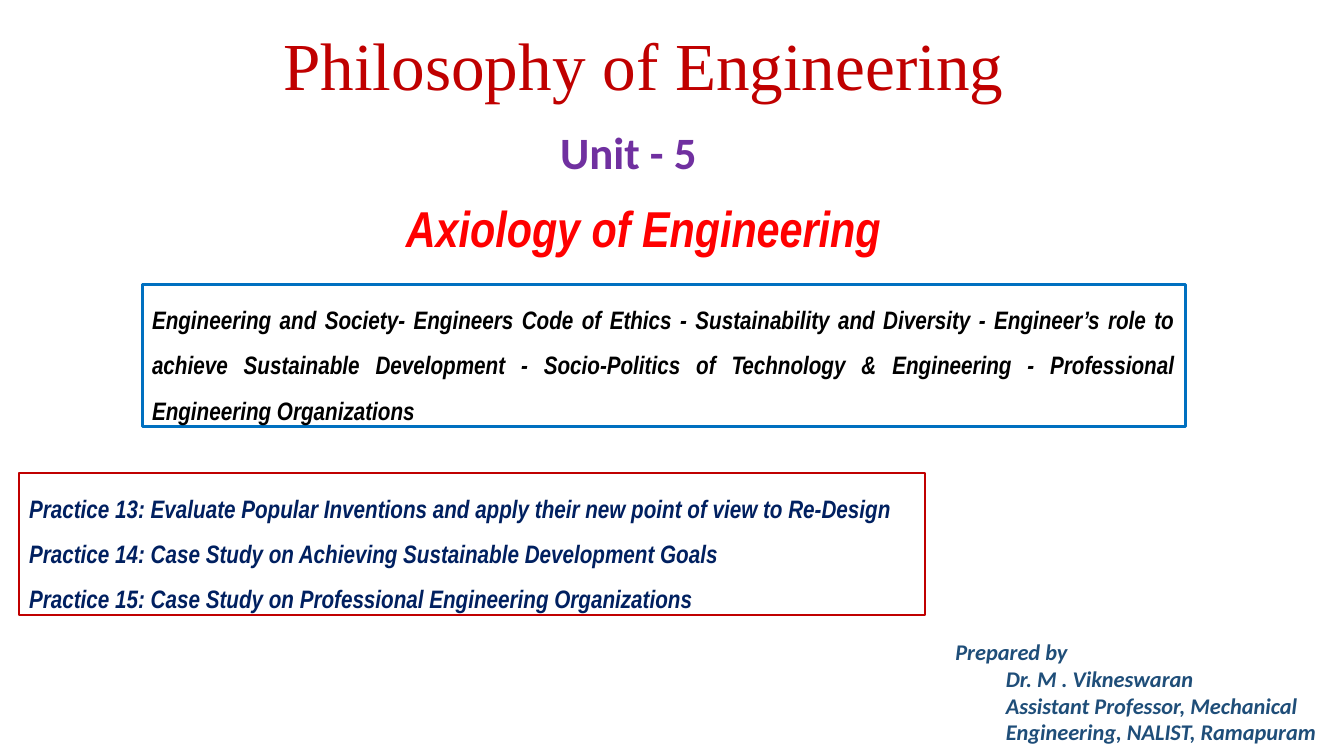
from pptx import Presentation
from pptx.dml.color import RGBColor
from pptx.enum.shapes import MSO_SHAPE
from pptx.enum.text import MSO_ANCHOR, MSO_AUTO_SIZE, PP_ALIGN
from pptx.util import Inches, Pt


def color(hex_code):
    return RGBColor.from_string(hex_code)


def write(box, lines, font, size, hex_code, align, bold=True, italic=True, spacing=1.0):
    """Fill a box with one paragraph per line, all in the same style."""
    frame = box.text_frame
    frame.word_wrap = True
    frame.auto_size = MSO_AUTO_SIZE.NONE
    frame.vertical_anchor = MSO_ANCHOR.TOP
    frame.text = "\n".join(lines)
    for para in frame.paragraphs:
        para.alignment = align
        para.line_spacing = spacing
        for span in para.runs:
            span.font.name = font
            span.font.size = Pt(size)
            span.font.bold = bold
            span.font.italic = italic
            span.font.color.rgb = color(hex_code)


deck = Presentation()
deck.slide_width = Inches(40 / 3)
deck.slide_height = Inches(7.5)
slide = deck.slides.add_slide(deck.slide_layouts[5])
shapes = slide.shapes

# Headings
title = shapes.title
title.left, title.top = Inches(1.88), Inches(0.18)
title.width, title.height = Inches(9.01), Inches(0.91)
write(title, ["Philosophy of Engineering"], "Times New Roman", 48, "C00000",
      PP_ALIGN.CENTER, bold=False, italic=False)

unit = shapes.add_textbox(Inches(3.6), Inches(1.19), Inches(5.27), Inches(0.64))
write(unit, ["Unit - 5"], "Calibri", 32, "7030A0", PP_ALIGN.CENTER, italic=False)

topic = shapes.add_textbox(Inches(3.05), Inches(1.91), Inches(6.67), Inches(0.71))
write(topic, ["Axiology of Engineering"], "Arial Narrow", 36, "FF0000", PP_ALIGN.CENTER)

# Framed syllabus and practice list
syllabus = [
    "Engineering and Society- Engineers Code of Ethics - Sustainability and Diversity - "
    "Engineer’s role to achieve Sustainable Development - Socio-Politics of Technology & "
    "Engineering - Professional Engineering Organizations",
]
practices = [
    "Practice 13: Evaluate Popular Inventions and apply their new point of view to Re-Design",
    "Practice 14: Case Study on Achieving Sustainable Development Goals",
    "Practice 15: Case Study on Professional Engineering Organizations",
]
panels = [
    (1.41, 2.82, 10.35, None, "0070C0", 2.25, syllabus, "000000", PP_ALIGN.JUSTIFY),
    (0.19, 4.69, 8.99, "FFFFFF", "C00000", 1.5, practices, "002060", PP_ALIGN.LEFT),
]
for left, top, width, fill, line_color, line_width, lines, text_color, align in panels:
    panel = shapes.add_shape(MSO_SHAPE.RECTANGLE, Inches(left), Inches(top),
                             Inches(width), Inches(1.41))
    panel.shadow.inherit = False
    if fill:
        panel.fill.solid()
        panel.fill.fore_color.rgb = color(fill)
    else:
        panel.fill.background()
    panel.line.color.rgb = color(line_color)
    panel.line.width = Pt(line_width)
    write(panel, lines, "Arial Narrow", 18, text_color, align, spacing=1.5)

# Author
author = shapes.add_textbox(Inches(9.38), Inches(6.28), Inches(3.96), Inches(1.18))
author_lines = [
    "Prepared by",
    "Dr. M . Vikneswaran",
    "Assistant Professor, Mechanical Engineering, NALIST, Ramapuram",
]
write(author, author_lines, "Calibri", 16, "1F4E79", PP_ALIGN.LEFT)
for para in author.text_frame.paragraphs[1:]:
    para.level = 1

deck.save("out.pptx")
